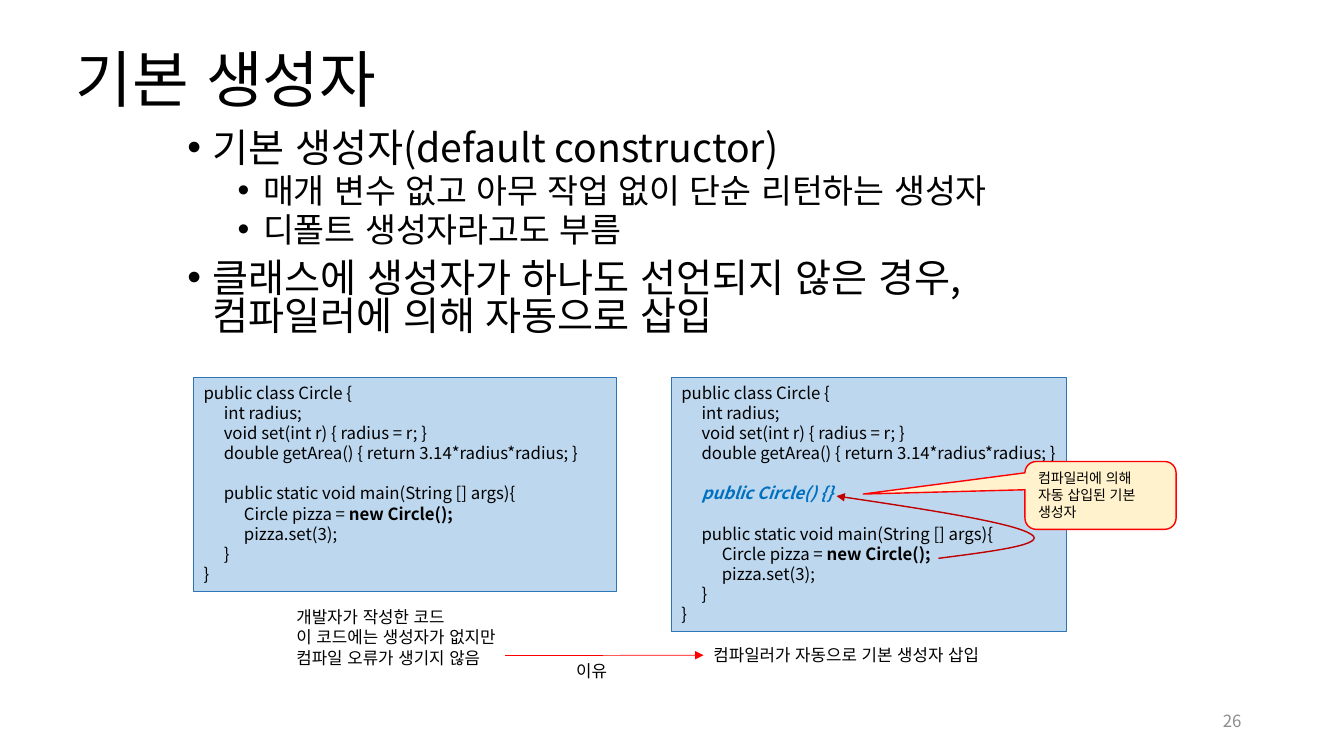
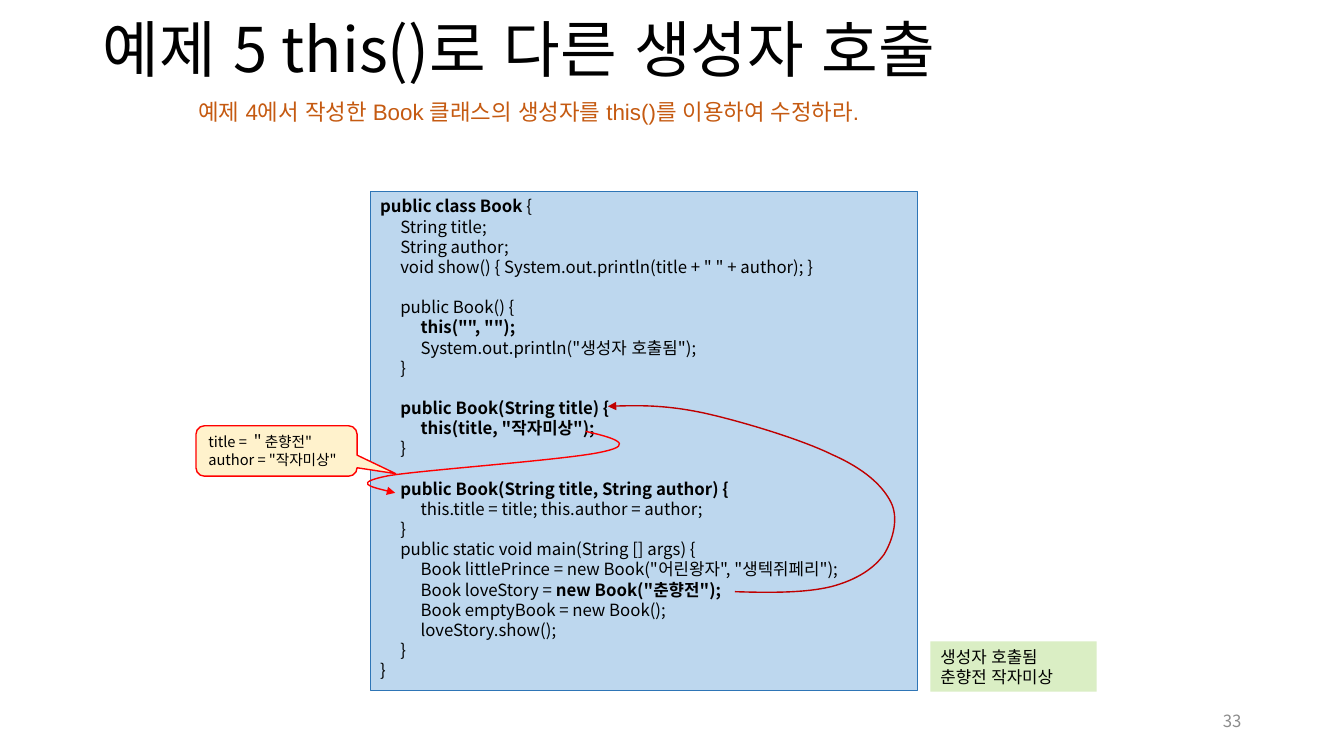
from lxml import etree
from pptx import Presentation
from pptx.dml.color import RGBColor
from pptx.enum.lang import MSO_LANGUAGE_ID
from pptx.enum.shapes import MSO_CONNECTOR, MSO_SHAPE
from pptx.enum.text import MSO_ANCHOR, MSO_AUTO_SIZE, PP_ALIGN
from pptx.oxml.ns import qn
from pptx.util import Cm, Pt

RECT = MSO_SHAPE.RECTANGLE
CALLOUT = MSO_SHAPE.ROUNDED_RECTANGULAR_CALLOUT
STRAIGHT = MSO_CONNECTOR.STRAIGHT
TOP, MIDDLE = MSO_ANCHOR.TOP, MSO_ANCHOR.MIDDLE
LEFT, RIGHT = PP_ALIGN.LEFT, PP_ALIGN.RIGHT
FIXED = MSO_AUTO_SIZE.NONE
KOREAN = MSO_LANGUAGE_ID.KOREAN

FONT = "Noto Sans CJK KR"
EAST = "Arial"
COLORS = {
    "text": "000000", "page": "8C8C8C", "task": "C55A11",
    "code": "BDD7EE", "edge": "2E75B6", "new": "0070C0",
    "note": "FFF2CC", "red": "FF0000", "dark": "C00000",
    "output": "DAEEC4",
}
TAB = 0.51
STEPS = 16

CIRCLE_HEAD = [
    "public class Circle {",
    "\tint radius;",
    "\tvoid set(int r) { radius = r; }",
    "\tdouble getArea() { return 3.14*radius*radius; }",
    "",
]
CIRCLE_NEW = ["\t|public Circle() {}|", ""]
CIRCLE_MAIN = [
    "\tpublic static void main(String [] args){",
    "\t\tCircle pizza = |new Circle();|",
    "\t\tpizza.set(3);",
    "\t}",
    "}",
]
BOOK = [
    "|public class Book |{",
    "\tString title;",
    "\tString author;",
    '\tvoid show() { System.out.println(title + " " + author); }',
    "",
    "\tpublic Book() {",
    '\t\t|this("", "");|',
    '\t\tSystem.out.println("생성자 호출됨");',
    "\t}",
    "",
    "\t|public Book(String title) {|",
    '\t\t|this(title, "작자미상");|',
    "\t}",
    "",
    "\t|public Book(String title, String author) {|",
    "\t\tthis.title = title; this.author = author;",
    "\t}",
    "\tpublic static void main(String [] args) {",
    '\t\tBook littlePrince = new Book("어린왕자", "생텍쥐페리");',
    '\t\tBook loveStory = |new Book("춘향전");|',
    "\t\tBook emptyBook = new Book();",
    "\t\tloveStory.show();",
    "\t}",
    "}",
]


def color(name):
    return RGBColor.from_string(COLORS[name])


def bezier(a, b, c, d, t):
    s = 1 - t
    return tuple(
        s**3 * p + 3 * s * s * t * q + 3 * s * t * t * r + t**3 * e
        for p, q, r, e in zip(a, b, c, d)
    )


class Deck:
    def __init__(self):
        self.prs = Presentation()
        self.prs.slide_width = Cm(33.87)
        self.prs.slide_height = Cm(19.05)
        self.slide = None

    def style(self, run, size, tint="text", bold=False, face=FONT):
        font = run.font
        font.size, font.bold, font.name = Pt(size), bold, face
        font.language_id = KOREAN
        font.color.rgb = color(tint)
        etree.SubElement(font._element, qn("a:ea")).set("typeface", EAST)

    def fill_text(self, shape, lines, size, tint="text", face=FONT,
                  align=LEFT, anchor=TOP, wrap=True):
        frame = shape.text_frame
        frame.text = "\n".join(lines)
        frame.word_wrap = wrap
        frame.auto_size = FIXED
        frame.vertical_anchor = anchor
        for para in frame.paragraphs:
            para.alignment = align
            for run in para.runs:
                self.style(run, size, tint, face=face)
        return frame

    def start(self, title, page, box):
        self.slide = self.prs.slides.add_slide(self.prs.slide_layouts[5])
        head = self.slide.shapes.title
        head.left, head.top, head.width, head.height = map(Cm, box)
        frame = self.fill_text(head, [title], 44, anchor=MIDDLE)
        frame.paragraphs[0].line_spacing = 0.9
        self.label([str(page)], (23.92, 17.66, 7.62, 1.01),
                   tint="page", align=RIGHT, anchor=MIDDLE)

    def label(self, lines, box, size=12, **look):
        shape = self.slide.shapes.add_textbox(*map(Cm, box))
        self.fill_text(shape, lines, size, **look)
        return shape

    def bullets(self, items, box):
        shape = self.label([text for _, text in items], box)
        for i, (level, _) in enumerate(items):
            para = shape.text_frame.paragraphs[i]
            para.level = level
            para.line_spacing = 0.8
            para.space_before = Pt((10, 5)[level] if i else 0)
            props = para._p.get_or_add_pPr()
            props.set("marL", str(Cm((0.64, 1.91)[level])))
            props.set("indent", str(-Cm(0.64)))
            face = etree.SubElement(props, qn("a:buFont"))
            face.set("typeface", "Arial")
            mark = etree.SubElement(props, qn("a:buChar"))
            mark.set("char", "•")
            for run in para.runs:
                run.font.size = Pt((28, 24)[level])

    def box(self, kind, place, fill, edge=None, width=0.75):
        shape = self.slide.shapes.add_shape(kind, *map(Cm, place))
        shape.shadow.inherit = False
        shape.fill.solid()
        shape.fill.fore_color.rgb = color(fill)
        if edge:
            shape.line.color.rgb = color(edge)
            shape.line.width = Pt(width)
        else:
            shape.line.fill.background()
        return shape

    def code(self, lines, place, fresh=""):
        shape = self.box(RECT, place, "code", "edge")
        frame = self.fill_text(shape, [""] * len(lines), 12)
        for para, line in zip(frame.paragraphs, lines):
            tabs = etree.SubElement(para._p.get_or_add_pPr(), qn("a:tabLst"))
            for n in (1, 2):
                stop = etree.SubElement(tabs, qn("a:tab"))
                stop.set("pos", str(Cm(TAB * n)))
                stop.set("algn", "l")
            for i, part in enumerate(line.split("|")):
                if part:
                    run = para.add_run()
                    run.text = part
                    new = part == fresh
                    self.style(run, 12, "new" if new else "text", i % 2 == 1)
                    run.font.italic = new
            if not line:
                end = etree.SubElement(para._p, qn("a:endParaRPr"))
                end.set("sz", "1200")
                for tag, face in (("a:latin", FONT), ("a:ea", EAST)):
                    etree.SubElement(end, qn(tag)).set("typeface", face)

    def output(self, lines, place):
        self.fill_text(self.box(RECT, place, "output"), lines, 12)

    def callout(self, lines, place, tip, size, wrap=True):
        shape = self.box(CALLOUT, place, "note", "red", 1)
        shape.adjustments[0], shape.adjustments[1] = tip
        self.fill_text(shape, lines, size, wrap=wrap)

    def arrow(self, shape, tint, width):
        shape.line.color.rgb = color(tint)
        shape.line.width = Pt(width)
        line = shape._element.spPr.find(qn("a:ln"))
        etree.SubElement(line, qn("a:tailEnd")).set("type", "triangle")

    def curve(self, points, tint):
        points = [(Cm(x), Cm(y)) for x, y in points]
        bends = range(1, len(points), 3)
        dots = [bezier(*points[i - 1:i + 3], n / STEPS)
                for i in bends for n in range(1, STEPS + 1)]
        build = self.slide.shapes.build_freeform(*points[0])
        build.add_line_segments(dots, close=False)
        shape = build.convert_to_shape()
        outline = next(shape._element.iter(qn("a:path")))
        for part in list(outline):
            outline.remove(part)
        parts = [("a:moveTo", points[:1])]
        parts += [("a:cubicBezTo", points[i:i + 3]) for i in bends]
        for tag, group in parts:
            part = etree.SubElement(outline, qn(tag))
            for x, y in group:
                dot = etree.SubElement(part, qn("a:pt"))
                dot.set("x", str(x - shape.left))
                dot.set("y", str(y - shape.top))
        shape.shadow.inherit = False
        shape.fill.background()
        self.arrow(shape, tint, 1)

    def link(self, start, end, target):
        line = self.slide.shapes.add_connector(
            STRAIGHT, *map(Cm, start + end))
        line.end_connect(target, 1)
        self.arrow(line, "red", 0.5)
        etree.SubElement(line._element.spPr, qn("a:effectLst"))


def default_slide(deck):
    deck.start("기본 생성자", 26, (1.65, 0.25, 29.21, 3.68))
    deck.bullets([
        (0, "기본 생성자(default constructor)"),
        (1, "매개 변수 없고 아무 작업 없이 단순 리턴하는 생성자"),
        (1, "디폴트 생성자라고도 부름"),
        (0, "클래스에 생성자가 하나도 선언되지 않은 경우, "
            "컴파일러에 의해 자동으로 삽입"),
    ], (4.47, 3.22, 23.01, 5.77))
    deck.code(CIRCLE_HEAD + CIRCLE_MAIN, (4.88, 9.51, 10.66, 5.39))
    deck.code(CIRCLE_HEAD + CIRCLE_NEW + CIRCLE_MAIN,
              (16.92, 9.51, 9.96, 6.41), "public Circle() {}")
    deck.callout(["컴파일러에 의해", "자동 삽입된 기본 생성자"],
                 (25.83, 11.63, 3.81, 1.71), (-1.57, -0.02), 10)
    deck.label(["개발자가 작성한 코드", "이 코드에는 생성자가 없지만",
                "컴파일 오류가 생기지 않음"], (7.22, 15.17, 6.1, 1.8))
    result = deck.label(["컴파일러가 자동으로 기본 생성자 삽입"],
                        (17.73, 16.13, 7.95, 0.76))
    deck.curve([(23.65, 14.07), (25.04, 13.89), (26.42, 13.72),
                (25.98, 13.46), (25.55, 13.18), (23.32, 12.83),
                (21.08, 12.5)], "dark")
    deck.link((12.73, 16.52), (17.73, 16.51), result)
    deck.label(["이유"], (14.27, 16.52, 1.37, 0.76))


def this_slide(deck):
    deck.start("예제 5 this()로 다른 생성자 호출", 33, (2.34, 0, 29.21, 2.67))
    deck.label(["예제 4에서 작성한 Book 클래스의 생성자를 this()를 이용하여 수정하라."],
               (4.75, 2.34, 21.74, 0.94), 16, tint="task", face="Arial")
    deck.code(BOOK, (9.33, 4.82, 13.79, 12.57))
    deck.output(["생성자 호출됨", "춘향전 작자미상"],
                (23.45, 16.16, 4.19, 1.27))
    deck.curve([(14.76, 10.87), (15.42, 11.02), (16.05, 11.2),
                (15.21, 11.38), (14.4, 11.58), (10.67, 11.84),
                (9.78, 11.99), (8.89, 12.17), (9.42, 12.29),
                (9.96, 12.42)], "red")
    deck.callout(['title = ＂춘향전"', 'author = "작자미상"'],
                 (4.94, 10.73, 4.06, 1.27), (0.74, 0.45), 10.5, wrap=False)
    deck.curve([(18.52, 14.91), (19.43, 14.94), (20.32, 14.94),
                (20.96, 14.78), (21.59, 14.61), (22.02, 14.33),
                (22.28, 13.97), (22.5, 13.61), (22.66, 13.06),
                (22.45, 12.65), (22.23, 12.22), (21.77, 11.81),
                (20.98, 11.46), (20.19, 11.07), (18.69, 10.62),
                (17.75, 10.41), (16.81, 10.21), (16.05, 10.21),
                (15.32, 10.24)], "dark")


def main():
    deck = Deck()
    default_slide(deck)
    this_slide(deck)
    deck.prs.save("out.pptx")


if __name__ == "__main__":
    main()
